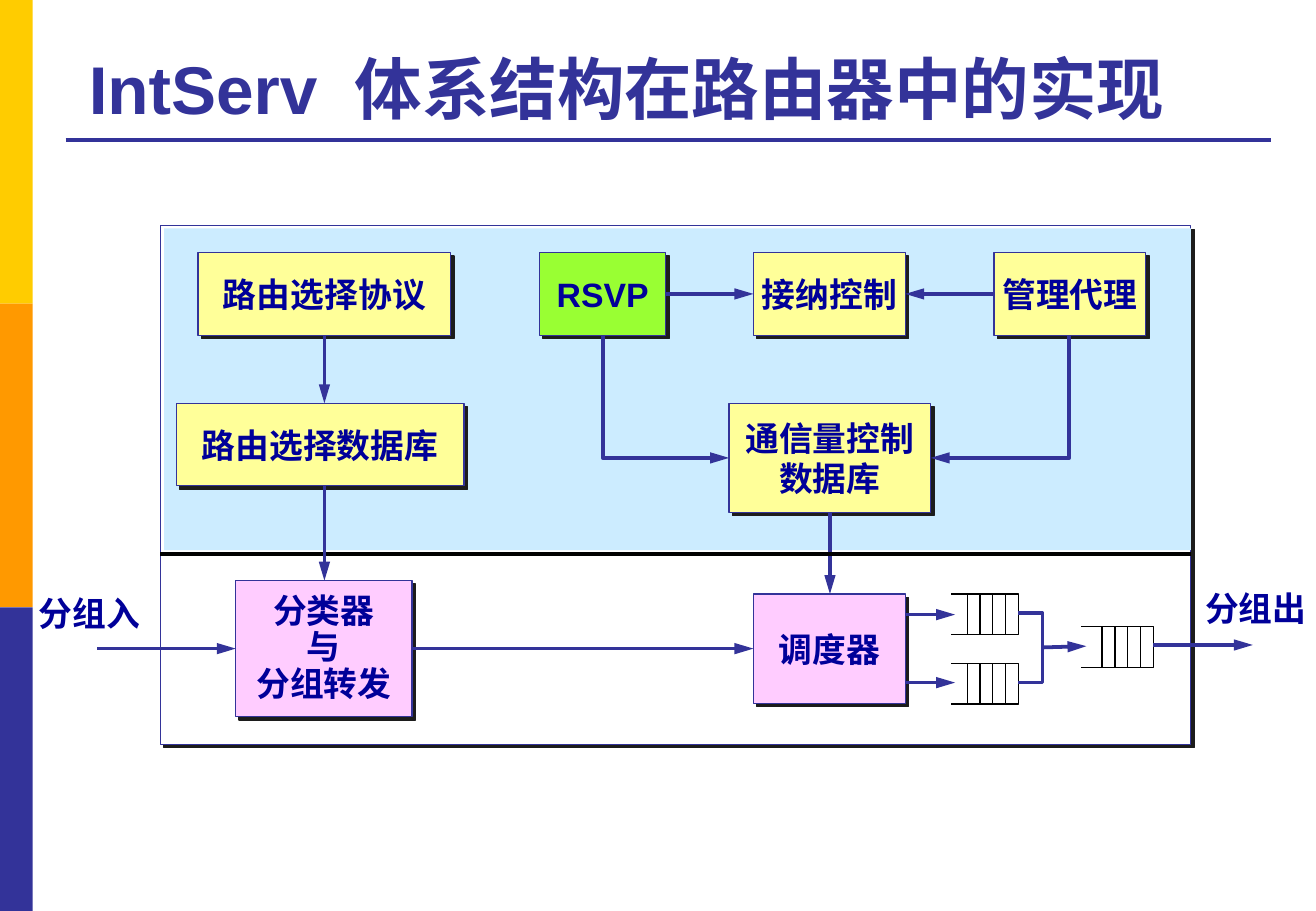
from lxml import etree
from pptx import Presentation
from pptx.dml.color import RGBColor
from pptx.enum import shapes, text
from pptx.oxml import ns
from pptx.util import Inches, Pt

NAVY, INK, BLACK = "333399", "000099", "000000"
YELLOW, GREEN, PINK = "FFFF99", "99FF33", "FFCCFF"

presentation = Presentation()
presentation.slide_width = Inches(10.83)
presentation.slide_height = Inches(7.5)
slide = presentation.slides.add_slide(presentation.slide_layouts[6])


def add_box(left, top, width, height, fill, framed=True):
    """Add a filled rectangle; a framed one has an outline and a hard shadow."""
    box = slide.shapes.add_shape(
        shapes.MSO_SHAPE.RECTANGLE, Inches(left), Inches(top), Inches(width), Inches(height))
    box.fill.solid()
    box.fill.fore_color.rgb = RGBColor.from_string(fill)
    box.shadow.inherit = False
    if not framed:
        box.line.fill.background()
        return box
    box.line.color.rgb = RGBColor.from_string(NAVY)
    box.line.width = Pt(0.75)
    effects = box._element.spPr.find(ns.qn("a:effectLst"))
    shadow = etree.SubElement(effects, ns.qn("a:outerShdw"), dist=str(Pt(2.8)),
                              dir="2700000", algn="ctr", rotWithShape="0")
    etree.SubElement(shadow, ns.qn("a:srgbClr"), val="1C1C1C")
    return box


def add_line(points, color=NAVY, width=2.25, arrow=False):
    """Draw a connector through two points, or an open outline through more."""
    corners = [(Inches(x), Inches(y)) for x, y in points]
    if len(corners) == 2:
        line = slide.shapes.add_connector(
            shapes.MSO_CONNECTOR.STRAIGHT, *corners[0], *corners[1])
    else:
        builder = slide.shapes.build_freeform(*corners[0])
        builder.add_line_segments(corners[1:], close=False)
        line = builder.convert_to_shape()
        line.fill.background()
        line.shadow.inherit = False
    line.line.color.rgb = RGBColor.from_string(color)
    line.line.width = Pt(width)
    if arrow:
        etree.SubElement(line.line._get_or_add_ln(), ns.qn("a:tailEnd"),
                         type="triangle", w="med", len="lg")
    if len(corners) == 2:
        etree.SubElement(line._element.spPr, ns.qn("a:effectLst"))


# Side bands, title and rule
for index, color in enumerate(["FFCC00", "FF9900", NAVY]):
    add_box(0, 2.5 * index, 0.27, 2.5, color, framed=False)
add_line([(0.54, 1.15), (10.46, 1.15)])

title = slide.shapes.add_textbox(Inches(0.55), Inches(0.21), Inches(9.21), Inches(0.89))
title.text_frame.word_wrap = True
title.text_frame.vertical_anchor = text.MSO_ANCHOR.BOTTOM
paragraph = title.text_frame.paragraphs[0]
paragraph.alignment = text.PP_ALIGN.CENTER
for part in ["IntServ", " ", "体系结构在路由器中的实现"]:
    run = paragraph.add_run()
    run.text = part
    run.font.name = "Arial"
    run.font.size = Pt(40)
    run.font.bold = True
    run.font.color.rgb = RGBColor.from_string(NAVY)
# Widen the gap after the Latin word
paragraph.runs[1].font._element.set("spc", "1100")

# Router outline and control plane
add_box(1.32, 1.86, 8.48, 4.27, "FFFFFF")
add_box(1.35, 1.88, 8.45, 2.65, "CCECFF", framed=False)

# Components
components = [
    ("路由选择协议", 1.63, 2.08, 2.08, 0.68, YELLOW),
    ("路由选择数据库", 1.45, 3.32, 2.37, 0.68, YELLOW),
    ("RSVP", 4.44, 2.08, 1.04, 0.68, GREEN),
    ("接纳控制", 6.2, 2.08, 1.25, 0.68, YELLOW),
    ("管理代理", 8.18, 2.08, 1.25, 0.68, YELLOW),
    ("通信量控制\n数据库", 6, 3.32, 1.66, 0.9, YELLOW),
    ("分类器\n与\n分组转发", 1.94, 4.78, 1.45, 1.12, PINK),
    ("调度器", 6.2, 4.89, 1.25, 0.9, PINK),
]
frames = []
for name, left, top, width, height, fill in components:
    frame = add_box(left, top, width, height, fill).text_frame
    frame.text = name
    frame.vertical_anchor = text.MSO_ANCHOR.MIDDLE
    for paragraph in frame.paragraphs:
        paragraph.alignment = text.PP_ALIGN.CENTER
        if len(frame.paragraphs) == 3:
            paragraph.line_spacing = 0.9
    frames.append(frame)

# Packet queues
for left, right, top in [(7.83, 8.38, 4.89), (7.83, 8.38, 5.46), (8.9, 9.49, 5.16)]:
    bottom = top + 0.335
    add_line([(left, top), (right, top), (right, bottom), (left, bottom)], BLACK, 0.75)
    for slot in range(1, 5):
        x = right - 0.105 * slot
        add_line([(x, top), (x, bottom)], BLACK, 0.75)

# Flows, and the border between control and data planes
add_line([(6.83, 4.22), (6.83, 4.89)], arrow=True)
add_line([(1.32, 4.56), (9.8, 4.56)], BLACK)
add_line([(8.38, 5.05), (8.58, 5.05), (8.58, 5.62), (8.38, 5.62)])
flows = [
    [(9.49, 5.31), (10.31, 5.31)],
    [(7.45, 5.06), (7.86, 5.06)],
    [(7.45, 5.62), (7.86, 5.62)],
    [(3.4, 5.34), (6.2, 5.34)],
    [(0.8, 5.34), (1.94, 5.34)],
    [(8.58, 5.33), (8.94, 5.32)],
    [(2.67, 2.76), (2.67, 3.32)],
    [(2.67, 4), (2.67, 4.78)],
    [(5.48, 2.42), (6.2, 2.42)],
    [(8.18, 2.42), (7.45, 2.42)],
    [(4.96, 2.76), (4.96, 3.77), (6, 3.77)],
    [(8.8, 2.76), (8.8, 3.77), (7.66, 3.77)],
]
for points in flows:
    add_line(points, arrow=True)

# Packet labels
for name, left, top in [("分组入", 0.22, 4.83), ("分组出", 9.82, 4.79)]:
    label = slide.shapes.add_textbox(Inches(left), Inches(top), Inches(1.04), Inches(0.44))
    label.text_frame.text = name
    frames.append(label.text_frame)

for frame in frames:
    frame.word_wrap = False
    for paragraph in frame.paragraphs:
        for run in paragraph.runs:
            run.font.name = "Arial"
            run.font.size = Pt(20)
            run.font.bold = True
            run.font.color.rgb = RGBColor.from_string(INK)

presentation.save("out.pptx")
